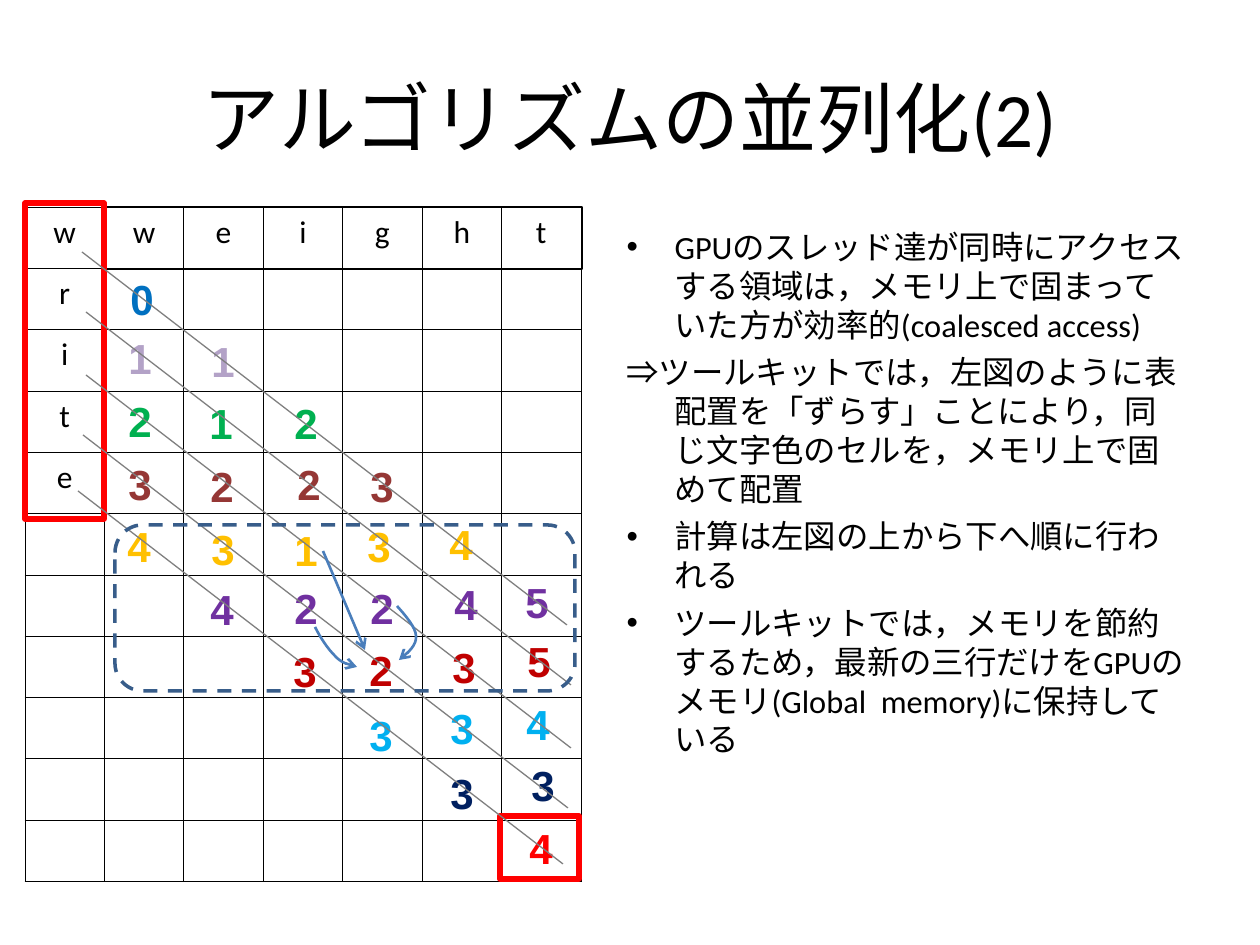
from lxml import etree
from pptx import Presentation
from pptx.dml.color import RGBColor
from pptx.enum.dml import MSO_LINE
from pptx.enum.shapes import MSO_CONNECTOR, MSO_SHAPE
from pptx.enum.text import MSO_ANCHOR, MSO_AUTO_SIZE, PP_ALIGN
from pptx.oxml.ns import qn
from pptx.util import Inches, Pt

PX = 7257  # EMU in one px, 126 px to the inch
STRAIGHT = MSO_CONNECTOR.STRAIGHT
RECTANGLE = MSO_SHAPE.RECTANGLE
ROUNDED = MSO_SHAPE.ROUNDED_RECTANGLE
CENTER = PP_ALIGN.CENTER
DASH = MSO_LINE.DASH

BLACK = RGBColor(0x00, 0x00, 0x00)
RED = RGBColor(0xFF, 0x00, 0x00)
GRAY = RGBColor(0x7F, 0x7F, 0x7F)
ARROW_BLUE = RGBColor(0x4A, 0x7E, 0xBB)
FRAME_BLUE = RGBColor(0x38, 0x5D, 0x8A)
BLUE = RGBColor(0x00, 0x70, 0xC0)
LAVENDER = RGBColor(0xB3, 0xA2, 0xC7)
GREEN = RGBColor(0x00, 0xB0, 0x50)
BROWN = RGBColor(0x95, 0x37, 0x35)
GOLD = RGBColor(0xFF, 0xC0, 0x00)
PURPLE = RGBColor(0x70, 0x30, 0xA0)
DARK_RED = RGBColor(0xC0, 0x00, 0x00)
SKY = RGBColor(0x00, 0xB0, 0xF0)
NAVY = RGBColor(0x00, 0x20, 0x60)


def write(paragraph, text, size=18, font="Calibri", color=BLACK, bold=False, align=None):
    run = paragraph.add_run()
    run.text = text
    run.font.size = Pt(size)
    run.font.name = font
    run.font.color.rgb = color
    run.font.bold = bold
    paragraph.alignment = align


def outline(shape, color, width, dash=None, arrow=False):
    """Style the line of a shape or connector and take its shadow away."""
    shape.line.color.rgb = color
    shape.line.width = Pt(width)
    if dash:
        shape.line.dash_style = dash
    properties = shape._element.spPr
    if arrow:
        etree.SubElement(properties.find(qn("a:ln")), qn("a:tailEnd"), type="arrow")
    etree.SubElement(properties, qn("a:effectLst"))


presentation = Presentation()
presentation.slide_width = Inches(10)
presentation.slide_height = Inches(7.5)
slide = presentation.slides.add_slide(presentation.slide_layouts[1])
shapes = slide.shapes

# Title
title = shapes.title
title.left, title.top, title.width, title.height = 63 * PX, 38 * PX, 1134 * PX, 158 * PX
title.text_frame.vertical_anchor = MSO_ANCHOR.MIDDLE
write(title.text_frame.paragraphs[0], "アルゴリズムの並列化(2)", size=44, align=CENTER)

# Explanation
body = slide.placeholders[1]
body.left, body.top, body.width, body.height = 614 * PX, 221 * PX, 583 * PX, 624 * PX
body_frame = body.text_frame
body_frame.auto_size = MSO_AUTO_SIZE.NONE
explanations = [
    ("•", "GPUのスレッド達が同時にアクセスする領域は，メモリ上で固まっていた方が効率的(coalesced access)"),
    (None, "⇒ツールキットでは，左図のように表配置を「ずらす」ことにより，同じ文字色のセルを，メモリ上で固めて配置"),
    ("•", "計算は左図の上から下へ順に行われる"),
    ("•", "ツールキットでは，メモリを節約するため，最新の三行だけをGPUのメモリ(Global  memory)に保持している"),
]
for index, (bullet, text) in enumerate(explanations):
    paragraph = body_frame.add_paragraph() if index else body_frame.paragraphs[0]
    properties = paragraph._p.get_or_add_pPr()
    properties.set("marL", str(48 * PX))
    properties.set("indent", str(-48 * PX))
    if bullet:
        etree.SubElement(properties, qn("a:buChar"), char=bullet)
    else:
        etree.SubElement(properties, qn("a:buNone"))
    paragraph.space_before = Pt(5 if index else 0)
    paragraph.line_spacing = Pt(22.2)
    write(paragraph, text, size=18.5)

# Distance table
ROWS, COLUMNS = 11, 7
table = shapes.add_table(ROWS, COLUMNS, 25 * PX, 207 * PX, 556 * PX, 675 * PX).table
table.first_row = False
table.horz_banding = False
labels = {(0, column): letter for column, letter in enumerate("wweight")}
labels.update({(row, 0): letter for row, letter in enumerate("write")})
for row in range(ROWS):
    for column in range(COLUMNS):
        cell = table.cell(row, column)
        properties = cell._tc.get_or_add_tcPr()
        for side in ("a:lnL", "a:lnR", "a:lnT", "a:lnB"):
            border = etree.SubElement(properties, qn(side), w=str(Pt(0.45)))
            fill = etree.SubElement(border, qn("a:solidFill"))
            etree.SubElement(fill, qn("a:srgbClr"), val=str(BLACK))
        cell.fill.background()
        if (row, column) in labels:
            write(cell.text_frame.paragraphs[0], labels[row, column], align=CENTER)

# Distances, one colour for each step: digit, left, top
steps = [
    (BLUE, [("0", 118, 267)]),
    (LAVENDER, [("1", 116, 326), ("1", 199, 329)]),
    (GREEN, [("2", 116, 389), ("1", 197, 391), ("2", 282, 391)]),
    (BROWN, [("3", 116, 452), ("2", 198, 454), ("2", 285, 452), ("3", 358, 454)]),
    (GOLD, [("4", 115, 514), ("3", 199, 517), ("1", 282, 518), ("3", 355, 514), ("4", 437, 512)]),
    (PURPLE, [("4", 198, 577), ("2", 282, 576), ("2", 358, 576), ("4", 442, 572), ("5", 513, 570)]),
    (DARK_RED, [("3", 281, 639), ("2", 357, 638), ("3", 440, 635), ("5", 515, 629)]),
    (SKY, [("3", 357, 703), ("3", 438, 696), ("4", 514, 692)]),
    (NAVY, [("3", 438, 761), ("3", 519, 753)]),
    (RED, [("4", 517, 816)]),
]
for color, distances in steps:
    for digit, left, top in distances:
        box = shapes.add_textbox(left * PX, top * PX, 48 * PX, 63 * PX)
        box.text_frame.word_wrap = False
        write(box.text_frame.paragraphs[0], digit, size=24, font="Arial", color=color, bold=True)

# Frames: result, first word, second word
for left, top, width, height, color, weight in [
    (500, 816, 79, 63, RED, 3),
    (106, 207, 476, 62, BLACK, 1.5),
    (25, 203, 79, 316, RED, 3),
]:
    frame = shapes.add_shape(RECTANGLE, left * PX, top * PX, width * PX, height * PX)
    frame.fill.background()
    outline(frame, color, weight)

# Diagonals
for x, y in [(82, 252), (86, 312), (86, 375), (83, 435), (78, 491)]:
    diagonal = shapes.add_connector(STRAIGHT, x * PX, y * PX, (x + 485) * PX, (y + 373) * PX)
    outline(diagonal, GRAY, 0.75)

# Dependency arrows: two curves of two Bézier pieces each, and a straight one
CURVE_STEPS = 8
for points in [
    [(397, 606), (406, 616), (416, 628), (416, 636), (417, 645), (408, 653), (399, 660)],
    [(315, 627), (321, 639), (328, 649), (335, 656), (341, 663), (349, 665), (357, 667)],
]:
    vertices = []
    for first in (0, 3):
        for step in range(1, CURVE_STEPS + 1):
            t = step / CURVE_STEPS
            weights = ((1 - t) ** 3, 3 * t * (1 - t) ** 2, 3 * t**2 * (1 - t), t**3)
            piece = list(zip(weights, points[first:first + 4]))
            vertices.append(tuple(sum(w * point[axis] for w, point in piece) * PX for axis in (0, 1)))
    start_x, start_y = points[0]
    builder = shapes.build_freeform(start_x * PX, start_y * PX)
    builder.add_line_segments(vertices, close=False)
    curve = builder.convert_to_shape()
    curve.fill.background()
    outline(curve, ARROW_BLUE, 1.5, arrow=True)
straight_arrow = shapes.add_connector(STRAIGHT, 323 * PX, 551 * PX, 365 * PX, 650 * PX)
outline(straight_arrow, ARROW_BLUE, 1.5, arrow=True)

# The three rows kept in memory
memory_frame = shapes.add_shape(ROUNDED, 115 * PX, 525 * PX, 460 * PX, 166 * PX)
memory_frame.fill.background()
outline(memory_frame, FRAME_BLUE, 2, dash=DASH)

presentation.save("out.pptx")
